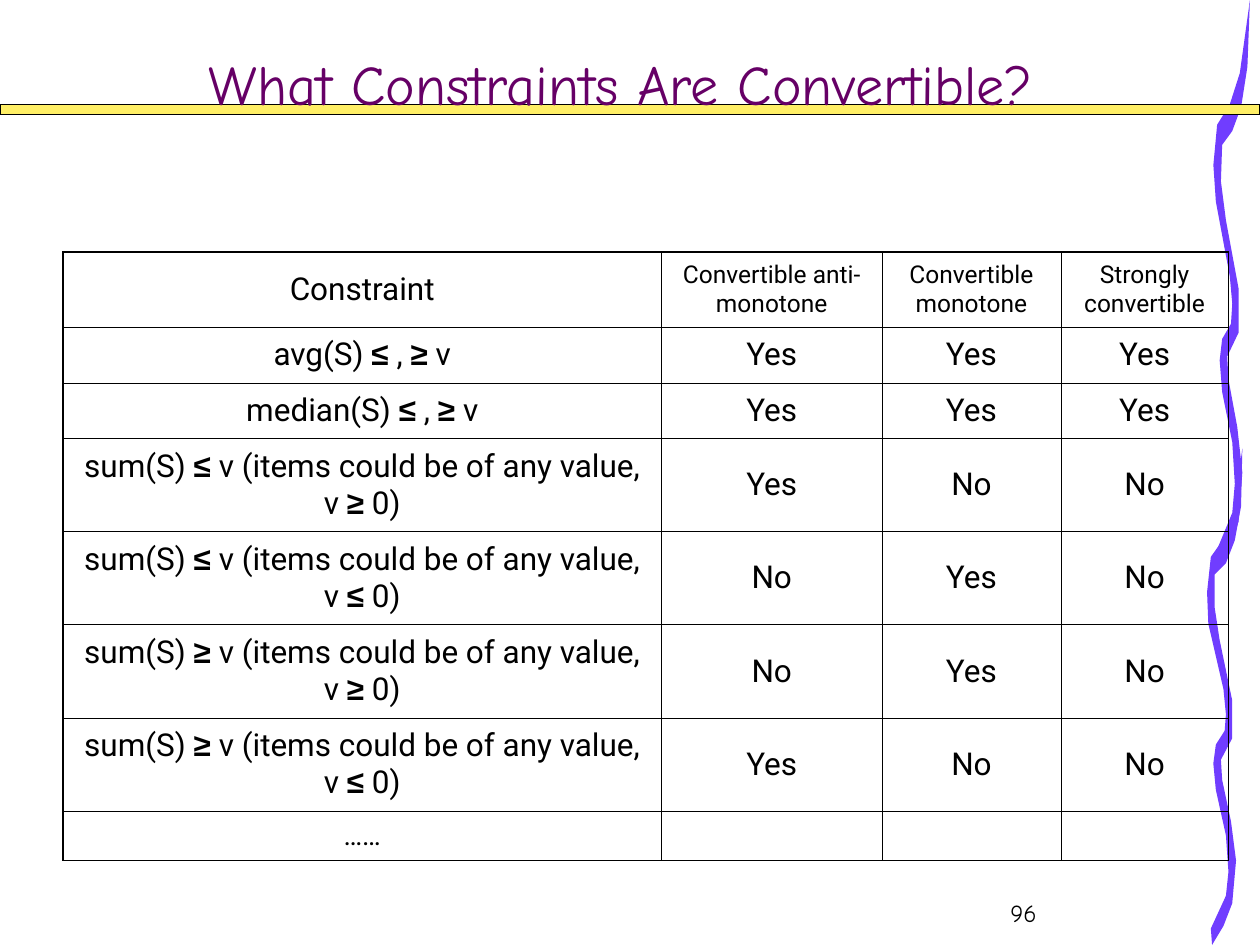
"""Build a slide with a table of convertible constraints."""
from itertools import groupby

from lxml import etree
from pptx import Presentation, util as u
from pptx.dml.color import RGBColor
from pptx.enum import shapes, text
from pptx.oxml import ns

BLACK, PURPLE, VIOLET, YELLOW = "000000", "660066", "703DFF", "FFEF66"
HEADING_FONT, BODY_FONT, SYMBOL_FONT = "Comic Neue", "Roboto", "Arial"
THIN, THICK = 0.45, 1.08

COLUMN_WIDTHS = [4.75, 1.75, 1.42, 1.33]
ROW_HEIGHTS = [0.6, 0.44, 0.44] + [0.74] * 4 + [0.39]
SUM_RULE = "sum(S) {} v (items could be of any value, v {} 0)"
CONSTRAINTS = [
    ["Constraint", "Convertible anti-monotone", "Convertible monotone", "Strongly convertible"],
    ["avg(S) ≤ , ≥ v", "Yes", "Yes", "Yes"],
    ["median(S) ≤ , ≥ v", "Yes", "Yes", "Yes"],
    [SUM_RULE.format("≤", "≥"), "Yes", "No", "No"],
    [SUM_RULE.format("≤", "≤"), "No", "Yes", "No"],
    [SUM_RULE.format("≥", "≥"), "No", "Yes", "No"],
    [SUM_RULE.format("≥", "≤"), "Yes", "No", "No"],
    ["……", "", "", ""],
]

RIBBON_UNIT = u.Inches(0.01)
LOWER_RIBBON = [
    (961, 737), (973, 711), (975, 692), (973, 663), (965, 627), (963, 606),
    (965, 591), (972, 580), (973, 567), (971, 547), (959, 495), (958, 470),
    (961, 442), (971, 428), (979, 407), (986, 356), (985, 402), (980, 429),
    (973, 447), (964, 456), (964, 482), (968, 508), (978, 556), (978, 586),
    (969, 603), (970, 619), (977, 652), (981, 683), (978, 717), (971, 735),
    (962, 750),
]
UPPER_RIBBON = [
    (966, 436), (978, 407), (980, 384), (978, 351), (970, 311), (968, 286),
    (970, 269), (977, 257), (978, 241), (976, 219), (965, 160), (963, 131),
    (966, 99), (976, 83), (984, 58), (992, 0), (990, 53), (985, 85),
    (978, 104), (970, 115), (969, 144), (973, 175), (983, 229), (983, 264),
    (974, 283), (975, 301), (982, 339), (986, 375), (983, 414), (976, 434),
    (967, 451),
]


def color(value):
    return RGBColor.from_string(value)


def format_run(run, font, size, fill=BLACK, bold=False):
    run.font.name, run.font.size, run.font.bold = font, u.Pt(size), bold
    run.font.color.rgb = color(fill)


def add_ribbon(slide, points):
    builder = slide.shapes.build_freeform(*points[0], scale=RIBBON_UNIT)
    builder.add_line_segments(points[1:], close=True)
    ribbon = builder.convert_to_shape()
    ribbon.shadow.inherit = False
    ribbon.fill.solid()
    ribbon.fill.fore_color.rgb = color(VIOLET)
    ribbon.line.fill.background()


def add_rule(slide, width):
    rule = slide.shapes.add_shape(
        shapes.MSO_SHAPE.RECTANGLE, 0, u.Inches(0.83), width, u.Inches(0.08))
    rule.shadow.inherit = False
    rule.fill.solid()
    rule.fill.fore_color.rgb = color(YELLOW)
    rule.line.color.rgb = color(BLACK)
    rule.line.width = u.Pt(0.75)


def set_title(slide, wording):
    title = slide.shapes.title
    title.left, title.top, title.width, title.height = map(u.Inches, (0.92, 0.33, 8.02, 0.65))
    title.text_frame.text = wording
    title.text_frame.vertical_anchor = text.MSO_ANCHOR.BOTTOM
    heading = title.text_frame.paragraphs[0]
    heading.alignment = text.PP_ALIGN.CENTER
    format_run(heading.runs[0], HEADING_FONT, 32, PURPLE)
    title.element.getparent().append(title.element)


def add_page_number(slide, number):
    page = slide.shapes.add_textbox(*map(u.Inches, (7.92, 7.08, 2.08, 0.42)))
    page.text_frame.word_wrap = True
    page.text_frame.text = number
    format_run(page.text_frame.paragraphs[0].runs[0], HEADING_FONT, 14)


def set_borders(cell, widths):
    properties = cell._tc.get_or_add_tcPr()
    for position, (side, width) in enumerate(zip("LRTB", widths)):
        border = etree.Element(ns.qn(f"a:ln{side}"), w=str(u.Pt(width)))
        fill = etree.SubElement(border, ns.qn("a:solidFill"))
        etree.SubElement(fill, ns.qn("a:srgbClr"), val=BLACK)
        properties.insert(position, border)


def fill_cell(cell, wording, size):
    cell.fill.background()
    cell.vertical_anchor = text.MSO_ANCHOR.MIDDLE
    entry = cell.text_frame.paragraphs[0]
    entry.alignment = text.PP_ALIGN.CENTER
    for is_symbol, letters in groupby(wording, key=lambda letter: letter in "≤≥"):
        run = entry.add_run()
        run.text = "".join(letters)
        format_run(run, SYMBOL_FONT if is_symbol else BODY_FONT, size, bold=is_symbol)
    if not wording:
        etree.SubElement(entry._p, ns.qn("a:endParaRPr"), sz=str(size * 100))


def add_constraint_table(slide):
    last_row, last_column = len(ROW_HEIGHTS) - 1, len(COLUMN_WIDTHS) - 1
    table = slide.shapes.add_table(
        last_row + 1, last_column + 1, u.Inches(0.5), u.Inches(2),
        u.Inches(sum(COLUMN_WIDTHS)), u.Inches(sum(ROW_HEIGHTS))).table
    table.first_row = table.horz_banding = False
    for column, width in zip(table.columns, COLUMN_WIDTHS):
        column.width = u.Inches(width)
    for r, (height, entries) in enumerate(zip(ROW_HEIGHTS, CONSTRAINTS)):
        table.rows[r].height = u.Inches(height)
        for c, wording in enumerate(entries):
            size = 14 if r == 0 and c > 0 else 16 if r == last_row else 18
            outer = (c == 0, c == last_column, r == 0, r == last_row)
            fill_cell(table.cell(r, c), wording, size)
            set_borders(table.cell(r, c), [THICK if edge else THIN for edge in outer])


def main():
    deck = Presentation()
    deck.slide_width, deck.slide_height = u.Inches(10), u.Inches(7.5)
    slide = deck.slides.add_slide(deck.slide_layouts[5])
    for ribbon in (LOWER_RIBBON, UPPER_RIBBON):
        add_ribbon(slide, ribbon)
    add_rule(slide, deck.slide_width)
    add_page_number(slide, "96")
    set_title(slide, "What Constraints Are Convertible?")
    add_constraint_table(slide)
    deck.save("out.pptx")


if __name__ == "__main__":
    main()
